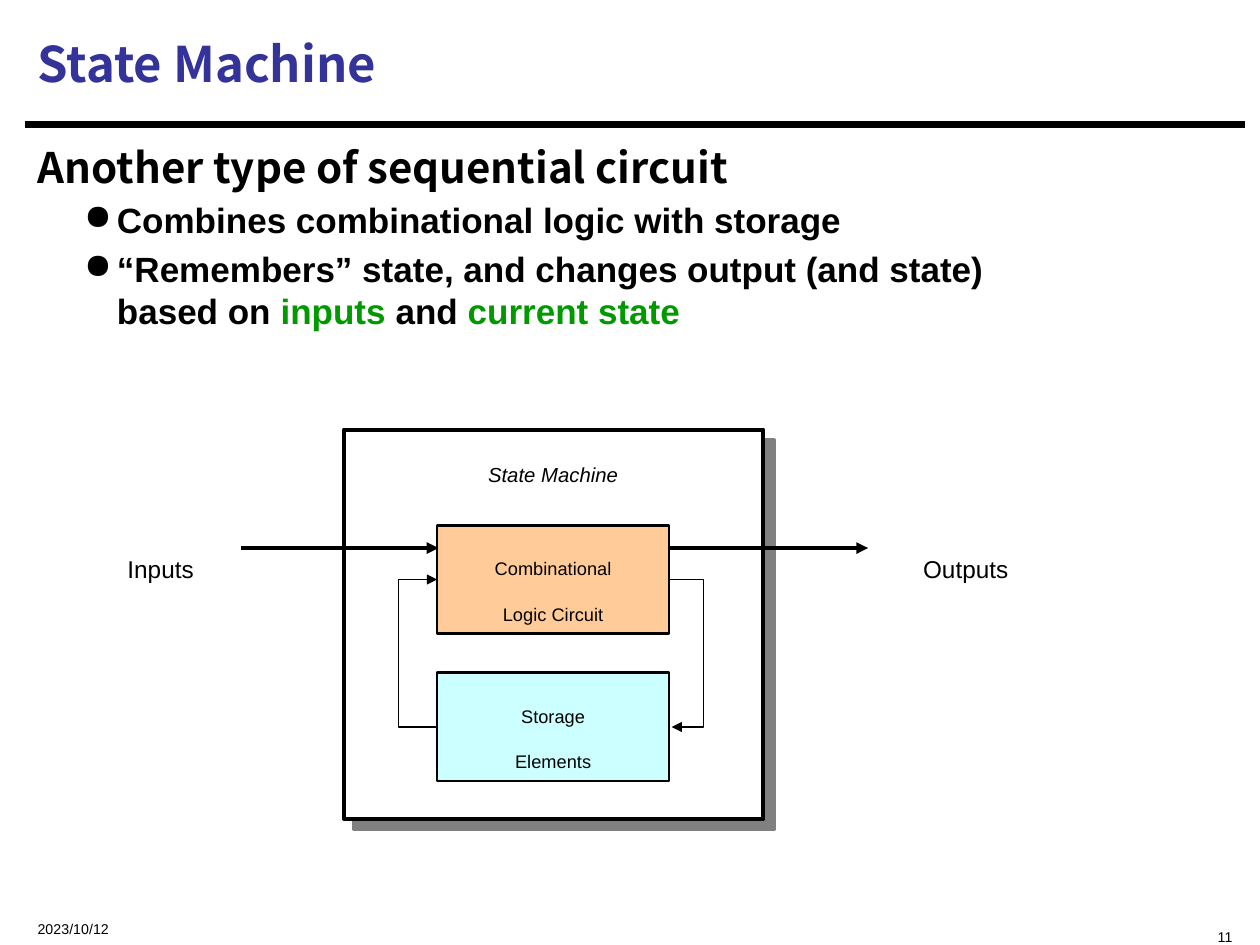
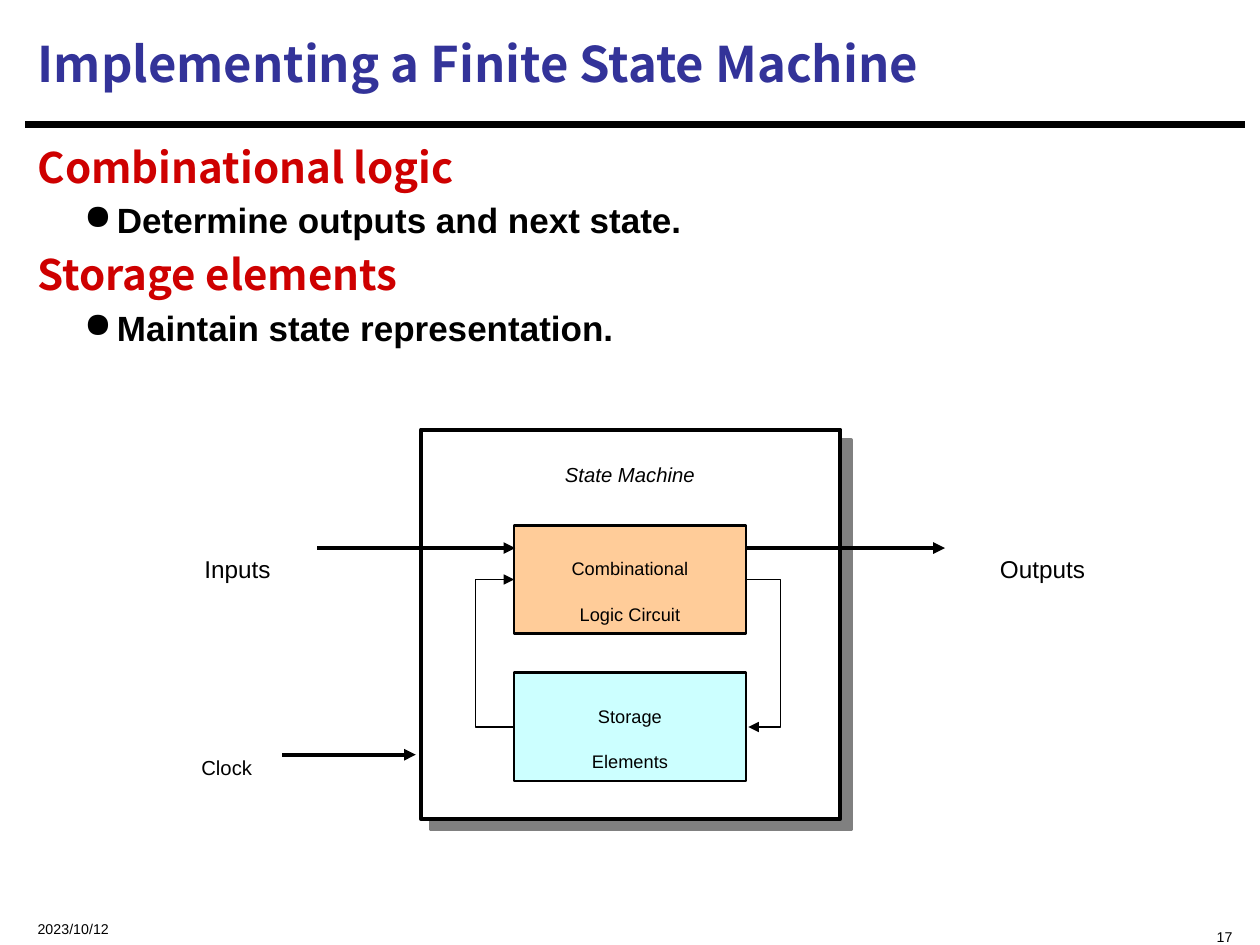
"""Build two slides on state machines and their block diagram."""
from lxml.etree import SubElement
from pptx import Presentation
from pptx.dml.color import RGBColor
from pptx.enum.shapes import MSO_CONNECTOR, MSO_SHAPE
from pptx.enum.text import MSO_ANCHOR, PP_ALIGN
from pptx.oxml.ns import qn
from pptx.util import Inches, Pt

BLACK, BLUE, RED, GREEN = "000000", "333399", "CE0000", "009900"
WHITE, ORANGE, CYAN, GREY = "FFFFFF", "FFCC99", "CCFFFF", "808080"
HEAD_FONT, BODY_FONT = "Noto Sans CJK SC", "Arial"


def add_text(p, text, size=20, font=BODY_FONT, color=BLACK, bold=False, italic=False,
             align=PP_ALIGN.LEFT, lowered=False):
    """Add one formatted run to a paragraph."""
    p.alignment = align
    r = p.add_run()
    r.text = text
    f = r.font
    f.size, f.name, f.bold, f.italic = Pt(size), font, bold, italic
    f.color.rgb = RGBColor.from_string(color)
    if lowered:
        r._r.get_or_add_rPr().set("baseline", "-33000")


def add_line(s, x1, y1, x2, y2, width=2.25, arrow=True, bend=None):
    """Add a straight line, or an elbow whose middle lies at bend times its width."""
    kind = MSO_CONNECTOR.STRAIGHT if bend is None else MSO_CONNECTOR.ELBOW
    c = s.shapes.add_connector(kind, Inches(x1), Inches(y1), Inches(x2), Inches(y2))
    c.line.width = Pt(width)
    c.line.color.rgb = RGBColor.from_string(BLACK)
    spPr = c._element.spPr
    if arrow:
        SubElement(c.line._get_or_add_ln(), qn("a:tailEnd"), type="triangle")
    if bend is not None:
        geom = spPr.find(qn("a:prstGeom"))
        SubElement(geom.find(qn("a:avLst")), qn("a:gd"), name="adj1", fmla=f"val {bend * 100000}")
    SubElement(spPr, qn("a:effectLst"))


slides = [
    ("State Machine", "11", 0, [
        (0, [("Another type of sequential circuit", BLACK)]),
        (1, [("Combines combinational logic with storage", BLACK)]),
        (1, [("“Remembers” state, and changes output (and state) ", BLACK), None,
             ("based on ", BLACK), ("inputs", GREEN), (" and ", BLACK),
             ("current state", GREEN)]),
    ]),
    ("Implementing a Finite State Machine", "17", 0.61, [
        (0, [("Combinational logic", RED)]),
        (1, [("Determine outputs and next state.", BLACK)]),
        (0, [("Storage elements", RED)]),
        (1, [("Maintain state representation.", BLACK)]),
    ]),
]

prs = Presentation()
prs.slide_width, prs.slide_height = Inches(10), Inches(7.5)

for title, number, dx, body in slides:
    s = prs.slides.add_slide(prs.slide_layouts[5])
    add_line(s, 0.2, 0.99, 9.88, 0.99, width=3.75, arrow=False)

    sp = s.shapes.title
    sp.left, sp.top, sp.width, sp.height = Inches(0.2), Inches(0.08), Inches(9.67), Inches(0.84)
    sp.text_frame.vertical_anchor = MSO_ANCHOR.MIDDLE
    add_text(sp.text_frame.paragraphs[0], title, size=28, font=HEAD_FONT, color=BLUE, bold=True)

    tf = s.shapes.add_textbox(Inches(0.2), Inches(1.07), Inches(9.67), Inches(5.99)).text_frame
    tf.word_wrap = True
    for i, (level, runs) in enumerate(body):
        p = tf.add_paragraph() if i else tf.paragraphs[0]
        p.level = level
        size, font = ((24, HEAD_FONT), (20, BODY_FONT))[level]
        p.space_before = Pt(size * 0.2)
        if level:
            pPr = p._p.get_or_add_pPr()
            pPr.set("marL", str(Inches(0.63)))
            pPr.set("indent", str(Inches(-0.26)))
            SubElement(pPr, qn("a:buChar"), char="●")
        for run in runs:
            if run is None:
                p.add_line_break()
            else:
                add_text(p, run[0], size=size, font=font, color=run[1], bold=True)

    boxes = [
        (2.73, 3.41, 3.33, 3.09, WHITE, 2.25, []),
        (3.47, 4.17, 1.84, 0.86, ORANGE, 1.5, ["Combinational", "Logic Circuit"]),
        (3.47, 5.34, 1.84, 0.86, CYAN, 1.5, ["Storage", "Elements"]),
    ]
    for x, y, w, h, fill, border, lines in boxes:
        sp = s.shapes.add_shape(MSO_SHAPE.RECTANGLE, Inches(x + dx), Inches(y), Inches(w), Inches(h))
        sp.fill.solid()
        sp.fill.fore_color.rgb = RGBColor.from_string(fill)
        sp.line.color.rgb = RGBColor.from_string(BLACK)
        sp.line.width = Pt(border)
        sp.shadow.inherit = False
        if not lines:
            effects = sp._element.spPr.find(qn("a:effectLst"))
            shadow = SubElement(effects, qn("a:outerShdw"), dist=str(Pt(8.5)), dir="2700000",
                                algn="ctr", rotWithShape="0")
            SubElement(shadow, qn("a:srgbClr"), val=GREY)
        tf = sp.text_frame
        tf.word_wrap = False
        tf.vertical_anchor = MSO_ANCHOR.MIDDLE
        for i, line in enumerate(lines):
            p = tf.add_paragraph() if i else tf.paragraphs[0]
            add_text(p, line, size=18, align=PP_ALIGN.CENTER, lowered=True)

    top, middle = MSO_ANCHOR.TOP, MSO_ANCHOR.MIDDLE
    left, center, right = PP_ALIGN.LEFT, PP_ALIGN.CENTER, PP_ALIGN.RIGHT
    labels = [
        ("2023/10/12", 0.2, 7.17, 2.5, 0.25, 14, left, middle),
        (number, 6.88, 7.17, 3, 0.25, 14, right, top),
        ("State Machine", 3.4 + dx, 3.41, 1.98, 0.43, 20, center, top),
        ("Inputs", 0.72 + dx, 4.1, 1.11, 0.5, 24, center, top),
        ("Outputs", 6.98 + dx, 4.1, 1.37, 0.5, 24, center, top),
    ]
    if dx:
        labels.append(("Clock", 1.35, 5.74, 0.9, 0.43, 20, center, top))
        add_line(s, 2.24, 5.99, 3.3, 5.99)
    for text, x, y, w, h, size, align, anchor in labels:
        tf = s.shapes.add_textbox(Inches(x), Inches(y), Inches(w), Inches(h)).text_frame
        tf.word_wrap = align != center
        tf.vertical_anchor = anchor
        add_text(tf.paragraphs[0], text, size=size, align=align, lowered=True,
                 italic=text == "State Machine")

    for x in (1.91, 5.32):
        add_line(s, x + dx, 4.35, x + dx + 1.57, 4.35)
    add_line(s, 5.32 + dx, 4.6, 5.33 + dx, 5.77, width=0.75, bend=27)
    add_line(s, 3.46 + dx, 5.77, 3.47 + dx, 4.6, width=0.75, bend=-30)

prs.save("out.pptx")
